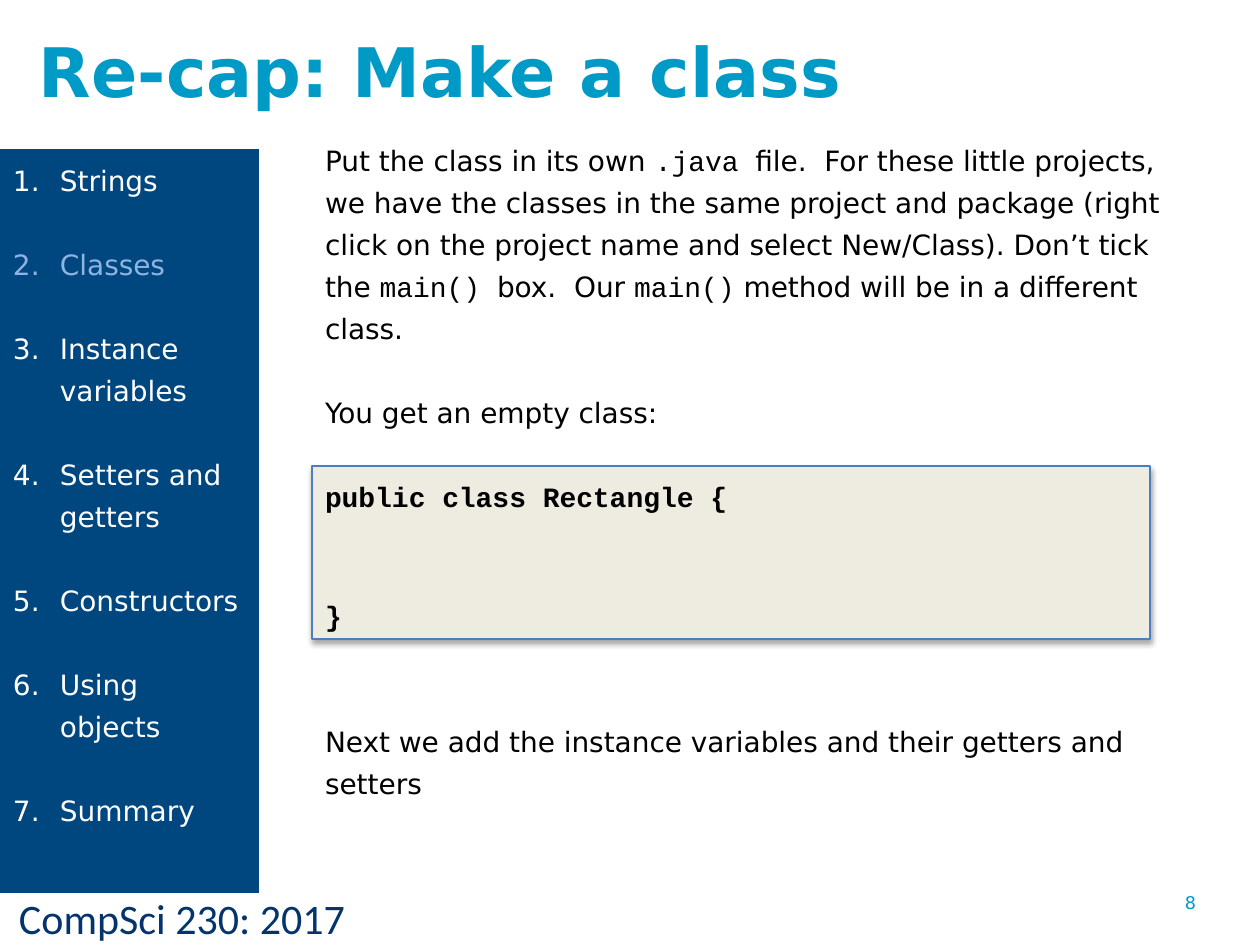
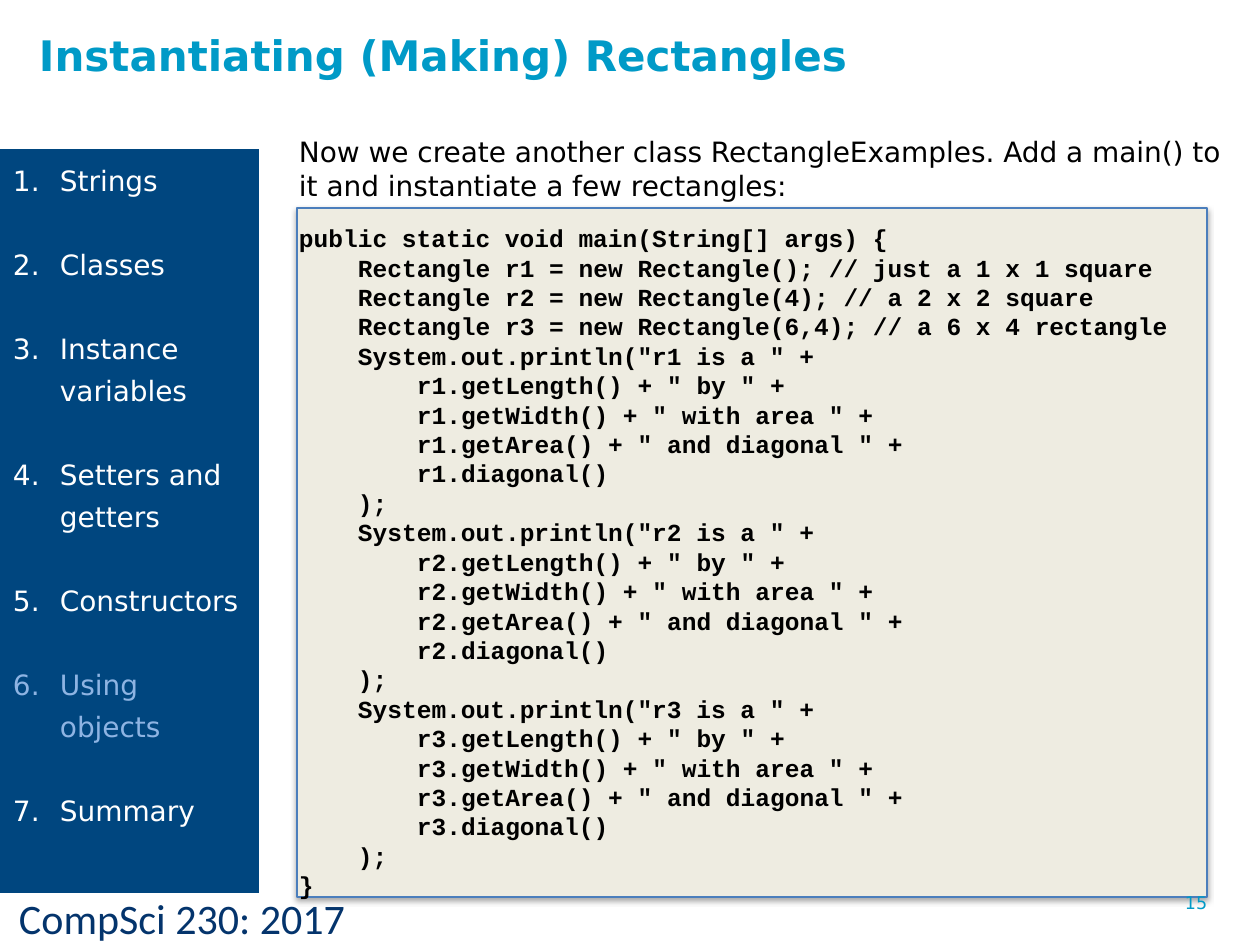
"""Build two course slides: a class recap and an example of making objects."""
from lxml import etree
from pptx import Presentation
from pptx.dml.color import RGBColor
from pptx.enum.shapes import MSO_SHAPE
from pptx.enum.text import MSO_ANCHOR, MSO_AUTO_SIZE, PP_ALIGN
from pptx.oxml.ns import qn
from pptx.util import Emu, Pt

RECTANGLE = MSO_SHAPE.RECTANGLE
TOP = MSO_ANCHOR.TOP
NO_FIT = MSO_AUTO_SIZE.NONE
LEFT = PP_ALIGN.LEFT

PX = 914400 / 126
SANS, CODE, FOOTER_FONT = "DejaVu Sans", "Courier New", "Calibri"
CYAN, NAVY, SKY, FOOTER_BLUE = "009AC7", "00467F", "8EB4E3", "04346C"
BLACK, WHITE, BEIGE, OUTLINE = "000000", "FFFFFF", "EEECE1", "4B7EBC"


def place(shape, left, top, width, height, inset_top=6):
    """Set a shape's bounds and its text frame's layout, in px."""
    shape.left, shape.top, shape.width, shape.height = (
        Emu(round(length * PX)) for length in (left, top, width, height))
    frame = shape.text_frame
    frame.word_wrap = True
    frame.auto_size = NO_FIT
    frame.vertical_anchor = TOP
    frame.margin_left = frame.margin_right = Emu(round(13 * PX))
    frame.margin_top = Emu(round(inset_top * PX))
    frame.margin_bottom = Emu(round(6 * PX))
    return frame


def write(frame, text, size=16, font=SANS, color=BLACK, bold=False, spacing=None,
          before=0, after=0, margin=0, hanging=0, numbered=False):
    """Add a paragraph; text is a string or a list of (text, font) runs."""
    paragraph = frame.paragraphs[0]
    if paragraph.runs:
        paragraph = frame.add_paragraph()
    paragraph.alignment = LEFT
    paragraph.line_spacing = Pt(spacing) if spacing else 1.0
    paragraph.space_before, paragraph.space_after = Pt(before), Pt(after)
    properties = paragraph._p.get_or_add_pPr()
    properties.set("marL", str(round(margin * PX)))
    properties.set("indent", str(round(-hanging * PX)))
    if numbered:
        etree.SubElement(properties, qn("a:buAutoNum"), type="arabicPeriod")
    else:
        etree.SubElement(properties, qn("a:buNone"))
    for run_text, run_font in [(text, font)] if isinstance(text, str) else text:
        run = paragraph.add_run()
        run.text = run_text
        run.font.name, run.font.size, run.font.bold = run_font, Pt(size), bold
        run.font.color.rgb = RGBColor.from_string(color)


topics = ["Strings", "Classes", "Instance variables", "Setters and getters",
          "Constructors", "Using objects", "Summary"]
pages = [
    {"title": "Re-cap: Make a class", "title_size": 39, "number": "8",
     "topic": "Classes", "body": (312, 129, 897, 731), "code_box": (312, 466, 838, 173)},
    {"title": "Instantiating (Making) Rectangles", "title_size": 24, "number": "15",
     "topic": "Using objects", "body": (286, 129, 953, 759), "code_box": (297, 208, 910, 689)},
]

presentation = Presentation()
presentation.slide_width = Emu(round(1260 * PX))
presentation.slide_height = Emu(round(945 * PX))
body_frames = []

for page in pages:
    slide = presentation.slides.add_slide(presentation.slide_layouts[3])
    title, sidebar, body = slide.placeholders

    code_box = slide.shapes.add_shape(RECTANGLE, 0, 0, 0, 0)
    place(code_box, *page["code_box"])
    code_box.fill.solid()
    code_box.fill.fore_color.rgb = RGBColor.from_string(BEIGE)
    code_box.line.color.rgb = RGBColor.from_string(OUTLINE)
    code_box.line.width = Pt(0.75)
    code_box.shadow.inherit = False
    effects = code_box.element.spPr.find(qn("a:effectLst"))
    shadow = etree.SubElement(effects, qn("a:outerShdw"), blurRad="40000", dist="23000",
                              dir="5400000", rotWithShape="0")
    shadow_color = etree.SubElement(shadow, qn("a:srgbClr"), val=BLACK)
    etree.SubElement(shadow_color, qn("a:alpha"), val="35000")
    title.element.addprevious(code_box.element)

    write(place(title, 26, 18, 898, 98, inset_top=11), page["title"],
          size=page["title_size"], color=CYAN, bold=True)

    sidebar.fill.solid()
    sidebar.fill.fore_color.rgb = RGBColor.from_string(NAVY)
    sidebar_frame = place(sidebar, 0, 149, 259, 744)
    for topic in topics:
        write(sidebar_frame, topic, color=SKY if topic == page["topic"] else WHITE,
              spacing=24, after=0 if topic == topics[-1] else 24,
              margin=47, hanging=47, numbered=True)

    body_frames.append(place(body, *page["body"]))

    footer = slide.shapes.add_textbox(0, 0, 0, 0)
    write(place(footer, 6, 887, 510, 63), "CompSci 230: 2017",
          size=24, font=FOOTER_FONT, color=FOOTER_BLUE)
    number = slide.shapes.add_textbox(0, 0, 0, 0)
    write(place(number, 1172, 886, 88, 59), page["number"], size=10, color=CYAN)

recap, example = body_frames

write(recap, [
    ("Put the class in its own ", SANS), (".java ", CODE),
    ("file.  For these little projects, we have the classes in the same project and "
     "package (right click on the project name and select New/Class). Don’t tick the ", SANS),
    ("main() ", CODE), ("box.  Our ", SANS), ("main()", CODE),
    (" method will be in a different class.", SANS)], spacing=24, after=24)
write(recap, "You get an empty class:", spacing=24, after=24)
write(recap, "public class Rectangle {", font=CODE, bold=True, spacing=24, after=44)
write(recap, "}", font=CODE, bold=True, spacing=24, after=48)
write(recap, "Next we add the instance variables and their getters and setters", spacing=24)

code_lines = [
    (0, "public static void main(String[] args) {"),
    (1, "Rectangle r1 = new Rectangle(); // just a 1 x 1 square"),
    (1, "Rectangle r2 = new Rectangle(4); // a 2 x 2 square"),
    (1, "Rectangle r3 = new Rectangle(6,4); // a 6 x 4 rectangle"),
]
for name in ("r1", "r2", "r3"):
    code_lines += [
        (1, f'System.out.println("{name} is a " +'),
        (2, f'{name}.getLength() + " by " +'),
        (2, f'{name}.getWidth() + " with area " +'),
        (2, f'{name}.getArea() + " and diagonal " +'),
        (2, f"{name}.diagonal()"),
        (1, ");"),
    ]
code_lines.append((0, "}"))

write(example, "Now we create another class RectangleExamples. Add a main() to it "
      "and instantiate a few rectangles:", after=12)
for depth, line in code_lines:
    write(example, line, size=14, font=CODE, bold=True, spacing=16.8, margin=59 * depth)

presentation.save("out.pptx")
